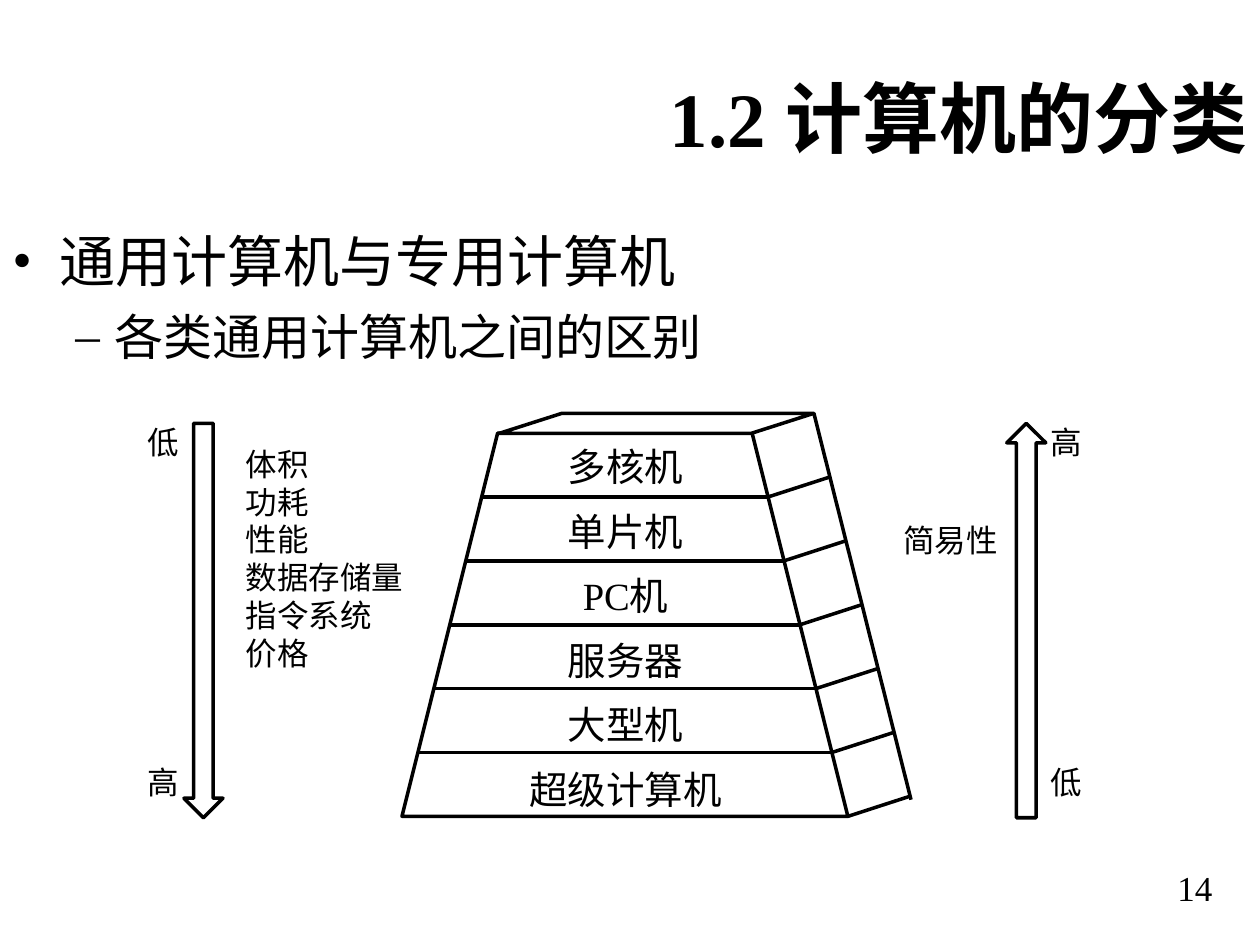
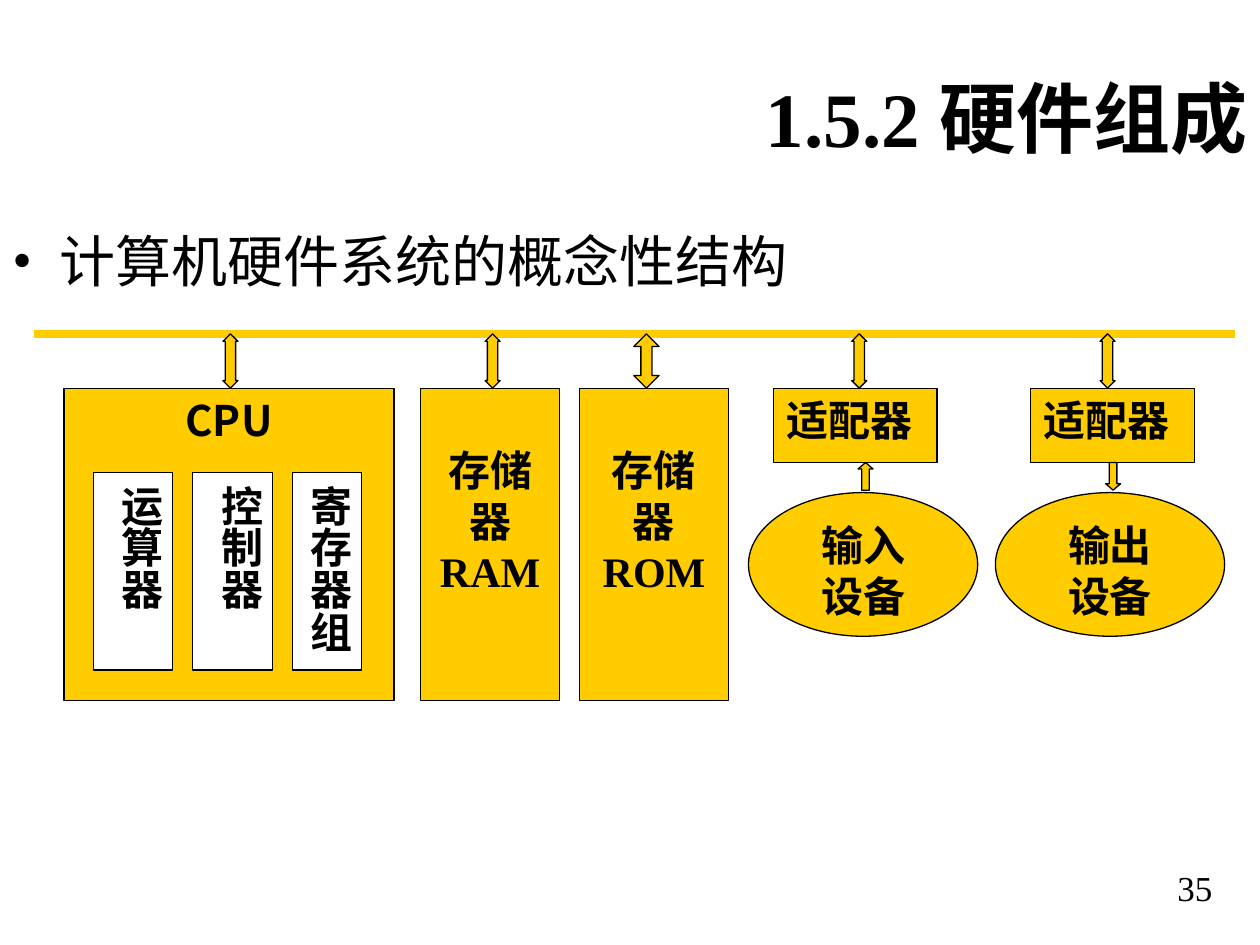
from dataclasses import dataclass

from lxml import etree
from pptx import Presentation
from pptx.dml.color import RGBColor
from pptx.enum.shapes import MSO_CONNECTOR, MSO_SHAPE
from pptx.enum.text import MSO_ANCHOR, PP_ALIGN
from pptx.oxml.ns import qn
from pptx.util import Pt

RECT, OVAL = MSO_SHAPE.RECTANGLE, MSO_SHAPE.OVAL
UP, DOWN, BOTH = MSO_SHAPE.UP_ARROW, MSO_SHAPE.DOWN_ARROW, MSO_SHAPE.UP_DOWN_ARROW
LID = MSO_SHAPE.FLOWCHART_DATA
STRAIGHT = MSO_CONNECTOR.STRAIGHT
LEFT, MID, RIGHT, JUST = PP_ALIGN.LEFT, PP_ALIGN.CENTER, PP_ALIGN.RIGHT, PP_ALIGN.JUSTIFY
TOP, CENTRE = MSO_ANCHOR.TOP, MSO_ANCHOR.MIDDLE

BLACK, WHITE, GOLD = "000000", "FFFFFF", "FFCC00"
SERIF, SANS = "Times New Roman", "Noto Sans CJK SC"


@dataclass(frozen=True)
class Area:
    x: float
    y: float
    w: float
    h: float


@dataclass(frozen=True)
class Style:
    size: float
    face: str = SERIF
    bold: bool = False
    align: PP_ALIGN = LEFT
    gap: float = 0


@dataclass(frozen=True)
class Level:
    mark: str
    left: float
    hang: float
    style: Style


@dataclass(frozen=True)
class Block:
    area: Area
    lines: tuple[str, ...]
    align: PP_ALIGN = MID
    face: str = SERIF
    kind: MSO_SHAPE = RECT
    fill: str = GOLD
    drop: float = 0
    tall: bool = False


@dataclass(frozen=True)
class Arrow:
    kind: MSO_SHAPE
    area: Area
    head: float


TITLE = Style(44, bold=True, align=RIGHT)
PAGE = Style(20, align=RIGHT)
ROW = Style(22, align=MID, gap=10.5)
NOTE = Style(18, SANS)
ENDS = Style(18, SANS, gap=172.8)
LEVELS = (
    Level("•", 27, -27, Style(32, align=JUST)),
    Level("–", 58.5, -22.5, Style(28, align=JUST, gap=7)),
)


def tint(code: str) -> RGBColor:
    return RGBColor.from_string(code)


def set_style(para, style: Style, first: bool) -> None:
    para.alignment = style.align
    if style.gap and not first:
        para.space_before = Pt(style.gap)
    font = para.font
    font.size, font.bold, font.name = Pt(style.size), style.bold, style.face
    font.color.rgb = tint(BLACK)
    props = para._p.get_or_add_pPr().find(qn("a:defRPr"))
    etree.SubElement(props, qn("a:ea"), typeface=SANS)


def set_frame(frame, pads: tuple[float, float], anchor: MSO_ANCHOR, drop: float = 0) -> None:
    across, down = pads
    frame.word_wrap = True
    frame.vertical_anchor = anchor
    frame.margin_left = frame.margin_right = Pt(across)
    frame.margin_top, frame.margin_bottom = Pt(down + drop), Pt(down)


def write(frame, lines: tuple[str, ...], style: Style) -> None:
    for i, line in enumerate(lines):
        para = frame.add_paragraph() if i else frame.paragraphs[0]
        para.text = line
        set_style(para, style, i == 0)


def add_frame(slide, area: Area, anchor: MSO_ANCHOR = TOP):
    box = slide.shapes.add_textbox(Pt(area.x), Pt(area.y), Pt(area.w), Pt(area.h))
    set_frame(box.text_frame, (7.2, 3.6), anchor)
    return box.text_frame


def add_text(slide, area: Area, lines: tuple[str, ...], style: Style,
             anchor: MSO_ANCHOR = TOP) -> None:
    write(add_frame(slide, area, anchor), lines, style)


def add_points(slide, lines: tuple[str, ...]) -> None:
    frame = add_frame(slide, Area(0, 126, 720, 356.4))
    for i, (line, level) in enumerate(zip(lines, LEVELS)):
        para = frame.add_paragraph() if i else frame.paragraphs[0]
        para.text = line
        para.level = i
        props = para._p.get_or_add_pPr()
        props.set("marL", str(Pt(level.left)))
        props.set("indent", str(Pt(level.hang)))
        etree.SubElement(props, qn("a:buFont"), typeface=SERIF)
        etree.SubElement(props, qn("a:buChar"), char=level.mark)
        set_style(para, level.style, i == 0)


def add_form(slide, kind: MSO_SHAPE, area: Area, fill: str, width: float):
    shape = slide.shapes.add_shape(kind, Pt(area.x), Pt(area.y), Pt(area.w), Pt(area.h))
    shape.shadow.inherit = False
    shape.fill.solid()
    shape.fill.fore_color.rgb = tint(fill)
    shape.line.color.rgb = tint(BLACK)
    shape.line.width = Pt(width)
    return shape


def add_arrow(slide, arrow: Arrow, fill: str, width: float) -> None:
    shape = add_form(slide, arrow.kind, arrow.area, fill, width)
    shape.adjustments[0] = 0.5
    shape.adjustments[1] = arrow.head


def add_block(slide, block: Block) -> None:
    shape = add_form(slide, block.kind, block.area, block.fill, 0.75)
    frame = shape.text_frame
    set_frame(frame, (3.6, 7.2) if block.tall else (7.2, 3.6), TOP, block.drop)
    if block.tall:
        frame._txBody.bodyPr.set("vert", "eaVert")
    write(frame, block.lines, Style(24, block.face, True, block.align))


def add_line(slide, start: tuple[float, float], end: tuple[float, float],
             color: str = BLACK, width: float = 2) -> None:
    ends = [Pt(n) for n in (*start, *end)]
    line = slide.shapes.add_connector(STRAIGHT, *ends)
    line.line.color.rgb = tint(color)
    line.line.width = Pt(width)
    etree.SubElement(line._element.spPr, qn("a:effectLst"))


def add_page(deck, title: str, points: tuple[str, ...], page: str):
    slide = deck.slides.add_slide(deck.slide_layouts[6])
    add_text(slide, Area(0, 21.6, 720, 90), (title,), TITLE, CENTRE)
    add_points(slide, points)
    add_text(slide, Area(532.1, 491.8, 167.8, 37.4), (page,), PAGE)
    return slide


def add_tower(slide) -> None:
    rows = ("多核机", "单片机", "PC机", "服务器", "大型机", "超级计算机")
    left, right, top, high, flare = 284.4, 429.8, 247.5, 219, 54.7
    count = len(rows)
    edges = [(left - flare * i / count, right + flare * i / count, top + high * i / count)
             for i in range(count + 1)]
    base = edges[-1]

    maker = slide.shapes.build_freeform(Pt(base[0]), Pt(base[2]))
    corners = ((left, top), (right, top), (base[1], base[2]))
    maker.add_line_segments([(Pt(x), Pt(y)) for x, y in corners], close=True)
    front = maker.convert_to_shape()
    front.shadow.inherit = False
    front.fill.background()
    front.line.color.rgb = tint(BLACK)
    front.line.width = Pt(2)

    for west, east, y in edges[1:-1]:
        add_line(slide, (west, y), (east, y))
    add_text(slide, Area(286.6, 249.8, 141.8, 218.2), rows, ROW)
    add_form(slide, LID, Area(285.1, 236.2, 180, 11.5), WHITE, 2)
    add_line(slide, (465.1, 236.2), (520.6, 457))
    for _, east, y in edges[1:]:
        add_line(slide, (east, y), (east + 35.5, y - 11.5))


def add_kinds(deck) -> None:
    slide = add_page(deck, "1.2 计算机的分类",
                     ("通用计算机与专用计算机", "各类通用计算机之间的区别"), "14")
    add_tower(slide)
    for kind, x in ((DOWN, 105.1), (UP, 575.3)):
        add_arrow(slide, Arrow(kind, Area(x, 241.9, 22.3, 225.4), 0.5), WHITE, 2)
    traits = ("体积", "功耗", "性能", "数据存储量", "指令系统", "价格")
    add_text(slide, Area(133.2, 250.6, 106.6, 136.8), traits, NOTE)
    add_text(slide, Area(509, 294, 106.6, 28.8), ("简易性",), NOTE)
    for x, ends in ((77, ("低", "高")), (593.3, ("高", "低"))):
        add_text(slide, Area(x, 238.3, 28.1, 223.2), ends, ENDS)


def add_parts(deck) -> None:
    slide = add_page(deck, "1.5.2 硬件组成", ("计算机硬件系统的概念性结构",), "35")
    bus, top, deep = 190.8, 221.8, 178.6
    add_line(slide, (19.4, bus), (705.6, bus), GOLD, 5)

    blocks = [Block(Area(36.5, top, 188.6, deep), ("CPU",), face=SANS)]
    for x, width, name in ((240.5, 79.2, "RAM"), (331.2, 85, "ROM")):
        blocks.append(Block(Area(x, top, width, deep), ("存储器", name), drop=28.8))
    for x in (442.1, 589):
        blocks.append(Block(Area(x, top, 93.4, 42.5), ("适配器",), JUST))
    units = (("运算器", 45.4, JUST), ("控制器", 45.4, JUST), ("寄存器组", 39.6, MID))
    for i, (name, width, align) in enumerate(units):
        area = Area(53.3 + 56.9 * i, 270, width, 113)
        blocks.append(Block(area, (name,), align, fill=WHITE, tall=True))
    for x, name in ((427.7, "输入"), (568.8, "输出")):
        blocks.append(Block(Area(x, 281.5, 131, 82.1), (name, "设备"), kind=OVAL))
    for block in blocks:
        add_block(slide, block)

    links = ((127.4, 8.6, 0.69), (277.2, 8.6, 0.69), (362.2, 14.4, 0.44),
             (486.7, 8.6, 0.69), (628.6, 8.6, 0.69))
    arrows = [Arrow(BOTH, Area(x, bus, width, top - bus), head) for x, width, head in links]
    for kind, x in ((UP, 490.3), (DOWN, 631.8)):
        arrows.append(Arrow(kind, Area(x, 264.3, 8.6, 15.8), 0.43))
    for arrow in arrows:
        add_arrow(slide, arrow, GOLD, 0.75)


def main() -> None:
    deck = Presentation()
    deck.slide_width, deck.slide_height = Pt(720), Pt(540)
    add_kinds(deck)
    add_parts(deck)
    deck.save("out.pptx")


if __name__ == "__main__":
    main()
